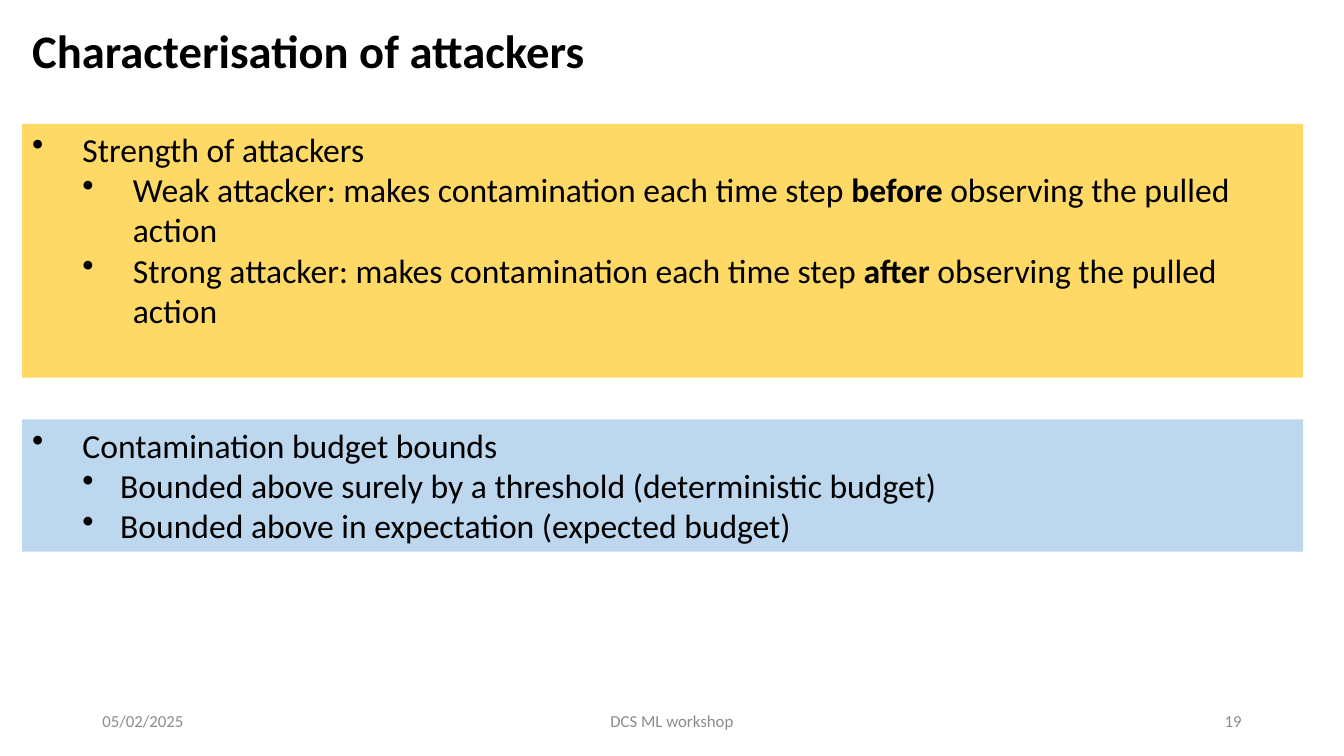
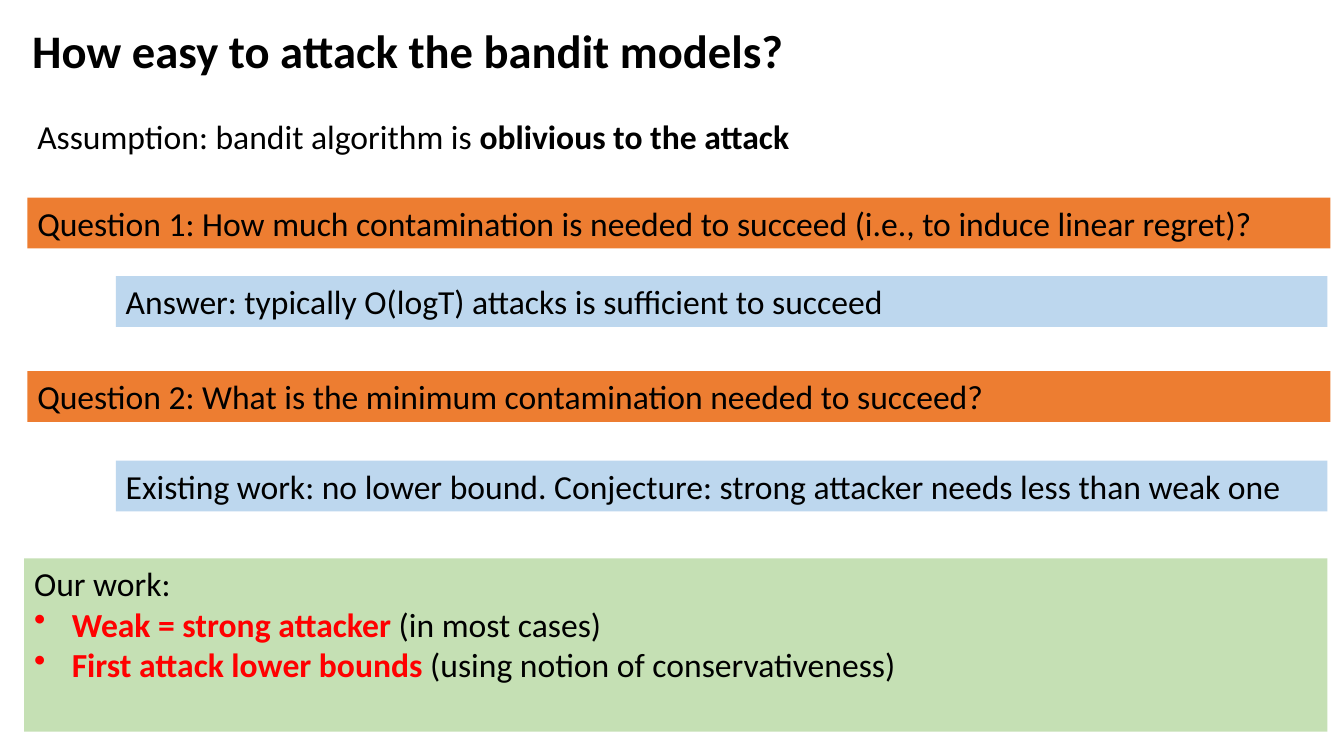
import pptx
import pptx.util
import pptx.dml.color
import pptx.enum.shapes
import pptx.enum.text
import pptx.oxml.ns
import lxml.etree

Cm = pptx.util.Cm
Pt = pptx.util.Pt
ALIGN = pptx.enum.text.PP_ALIGN
ANCHOR = pptx.enum.text.MSO_ANCHOR

COLOURS = {
    "text": "000000",
    "footer": "8C8C8C",
    "highlight": "FF0000",
    "yellow": "FFD966",
    "blue": "BDD7EE",
    "orange": "ED7D31",
    "green": "C5E0B4",
}
FONT = "Calibri"
BODY_SIZE = 24
WIDE_INDENT = 1.27
NARROW_INDENT = 0.95


def colour(name):
    return pptx.dml.color.RGBColor.from_string(COLOURS[name])


def add_bullet(para, left, hanging, colour_name):
    """Give the paragraph a bullet; left and hanging are in centimetres."""
    properties = para._p.get_or_add_pPr()
    properties.set("marL", str(Cm(left)))
    properties.set("indent", str(-Cm(hanging)))
    tag = pptx.oxml.ns.qn
    bullet_colour = lxml.etree.SubElement(properties, tag("a:buClr"))
    lxml.etree.SubElement(bullet_colour, tag("a:srgbClr"), val=COLOURS[colour_name])
    lxml.etree.SubElement(properties, tag("a:buChar"), char="•")


def write_para(para, spans, size=BODY_SIZE, colour_name="text", bold=False):
    """Write spans, each a plain string or a (text, colour) pair shown in bold."""
    para.font.name = FONT
    para.font.size = Pt(size)
    para.font.bold = bold
    para.font.color.rgb = colour(colour_name)
    for item in spans:
        text, strong_colour = (item, None) if isinstance(item, str) else item
        span = para.add_run()
        span.text = text
        if strong_colour:
            span.font.bold = True
            span.font.color.rgb = colour(strong_colour)


def add_line(page, box, text, size, colour_name, anchor, align=ALIGN.LEFT, bold=False):
    """Add a text box of one paragraph and return that paragraph."""
    frame = page.shapes.add_textbox(*map(Cm, box)).text_frame
    frame.word_wrap = True
    frame.vertical_anchor = anchor
    para = frame.paragraphs[0]
    para.alignment = align
    write_para(para, [text], size, colour_name, bold)
    return para


def add_title(page, text):
    box = (0.56, 0.66, 29.21, 1.43)
    para = add_line(page, box, text, 33.3, "text", ANCHOR.BOTTOM, bold=True)
    para.line_spacing = 0.8


def add_footer(page, number):
    top, height = 17.65, 1.02
    for left, width, text, align in (
        (2.33, 7.62, "05/02/2025", ALIGN.LEFT),
        (11.22, 11.43, "DCS ML workshop", ALIGN.CENTER),
        (23.92, 7.62, str(number), ALIGN.RIGHT),
    ):
        add_line(page, (left, top, width, height), text, 12, "footer", ANCHOR.MIDDLE, align)


def add_panel(page, box, fill, items):
    """Add a filled panel; items are (spans, indent), indent being (left, hanging) or None."""
    panel = page.shapes.add_shape(pptx.enum.shapes.MSO_SHAPE.RECTANGLE, *map(Cm, box))
    panel.shadow.inherit = False
    panel.fill.solid()
    panel.fill.fore_color.rgb = colour(fill)
    panel.line.fill.background()
    frame = panel.text_frame
    frame.word_wrap = True
    frame.vertical_anchor = ANCHOR.TOP
    for index, (spans, indent) in enumerate(items):
        para = frame.paragraphs[0] if index == 0 else frame.add_paragraph()
        para.alignment = ALIGN.LEFT
        if indent:
            bullet = "text" if isinstance(spans[0], str) else spans[0][1]
            add_bullet(para, *indent, bullet)
        write_para(para, spans)


def add_outline(page, box, fill, heading, points, hanging):
    """Add a panel with a bulleted heading and second-level points."""
    items = [([heading], (WIDE_INDENT, WIDE_INDENT))]
    items += [(spans, (WIDE_INDENT + hanging, hanging)) for spans in points]
    add_panel(page, box, fill, items)


def build_attackers(page):
    add_title(page, "Characterisation of attackers")
    left, width = 0.56, 32.28
    strengths = [
        [f"{kind} attacker: makes contamination each time step ",
         (moment, "text"), " observing the pulled action"]
        for kind, moment in (("Weak", "before"), ("Strong", "after"))
    ]
    add_outline(page, (left, 3.12, width, 6.4), "yellow",
                "Strength of attackers", strengths, WIDE_INDENT)
    budgets = [
        ["Bounded above surely by a threshold (deterministic budget)"],
        ["Bounded above in expectation (expected budget)"],
    ]
    add_outline(page, (left, 10.57, width, 3.33), "blue",
                "Contamination budget bounds", budgets, NARROW_INDENT)
    add_footer(page, 19)


def build_questions(page):
    add_title(page, "How easy to attack the bandit models?")
    left, width, height = 0.69, 32.84, 1.28
    assumption = add_line(page, (left, 2.79, width, height), "Assumption: bandit algorithm is ",
                          BODY_SIZE, "text", ANCHOR.TOP)
    write_para(assumption, [("oblivious to the attack", "text")])

    answer_left, answer_width = 2.92, 30.53
    for question_top, question, answer_top, answer in (
        (4.98, "Question 1: How much contamination is needed to succeed "
               "(i.e., to induce linear regret)?",
         6.96, "Answer: typically O(logT) attacks is sufficient to succeed"),
        (9.35, "Question 2: What is the minimum contamination needed to succeed?",
         11.61, "Existing work: no lower bound. "
                "Conjecture: strong attacker needs less than weak one"),
    ):
        add_panel(page, (left, question_top, width, height), "orange", [([question], None)])
        add_panel(page, (answer_left, answer_top, answer_width, height), "blue",
                  [([answer], None)])

    indent = (NARROW_INDENT, NARROW_INDENT)
    add_panel(page, (0.61, 14.07, width, 4.37), "green", [
        (["Our work:"], None),
        ([("Weak = strong attacker", "highlight"), " (in most cases)"], indent),
        ([("First attack lower bounds", "highlight"),
          " (using notion of conservativeness)"], indent),
    ])


def main():
    deck = pptx.Presentation()
    deck.slide_width = Cm(33.87)
    deck.slide_height = Cm(19.05)
    blank = deck.slide_layouts[6]
    for build in (build_attackers, build_questions):
        build(deck.slides.add_slide(blank))
    deck.save("out.pptx")


if __name__ == "__main__":
    main()
